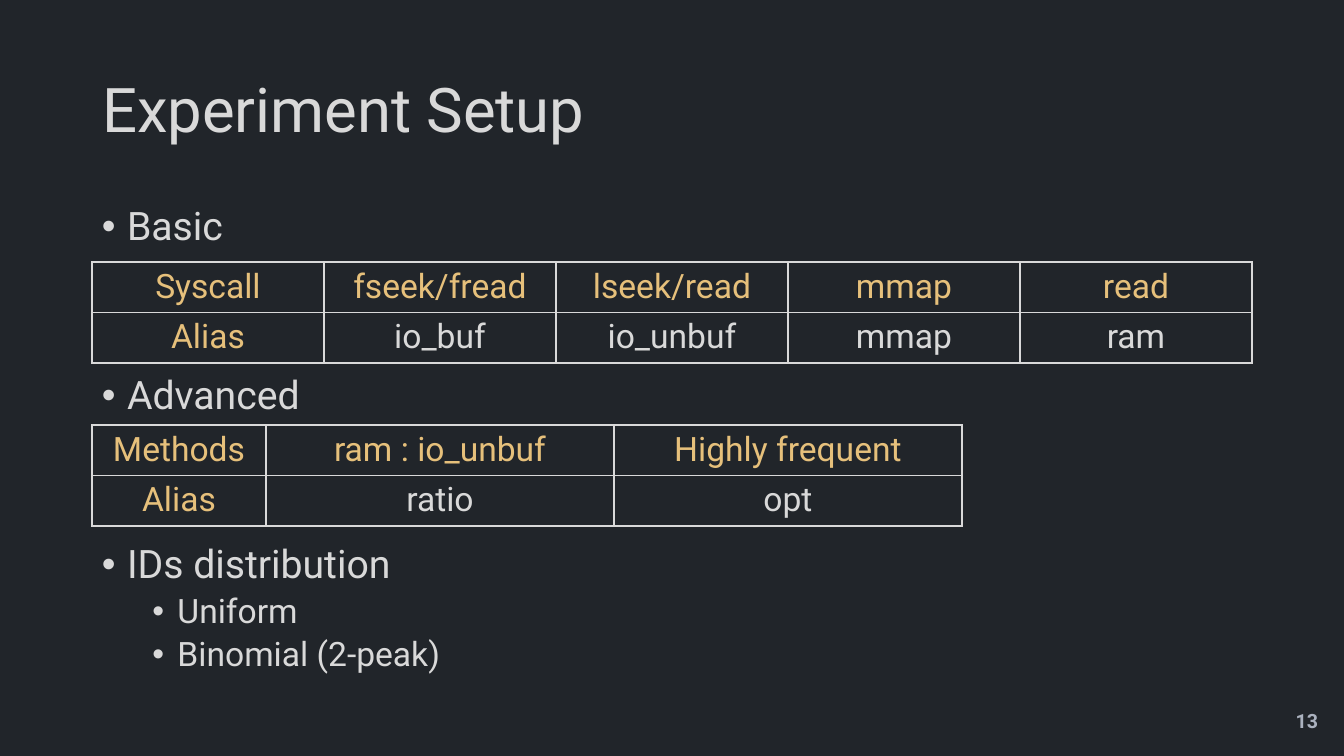
import lxml.etree
import pptx
import pptx.dml.color
import pptx.enum.text
import pptx.oxml.ns
import pptx.util

PX = 914400 / 100.8
LIGHT, GOLD, GREY, DARK = "D9D9D9", "E6C07B", "ABB2BF", "21252A"
ALIGN = pptx.enum.text.PP_ALIGN
MIDDLE = pptx.enum.text.MSO_ANCHOR.MIDDLE
rgb = pptx.dml.color.RGBColor.from_string
qn = pptx.oxml.ns.qn


def box(*lengths):
    return [round(n * PX) for n in lengths]


def write(p, text, size, color, align=ALIGN.LEFT):
    p.alignment = align
    r = p.add_run()
    r.text = text
    r.font.name = "Roboto"
    r.font.size = pptx.util.Pt(size)
    r.font.color.rgb = rgb(color)
    return r


prs = pptx.Presentation()
prs.slide_width, prs.slide_height = box(1344, 756)
s = prs.slides.add_slide(prs.slide_layouts[5])
s.background.fill.solid()
s.background.fill.fore_color.rgb = rgb(DARK)

title = s.shapes.title
title.left, title.top, title.width, title.height = box(92, 40, 1160, 146)
tf = title.text_frame
tf.auto_size = pptx.enum.text.MSO_AUTO_SIZE.NONE
tf.vertical_anchor = MIDDLE
p = tf.paragraphs[0]
p.line_spacing = 0.9
write(p, "Experiment Setup", 44, LIGHT)

bullets = [
    ("Basic", 0, 10),
    ("Advanced", 0, 90.5),
    ("IDs distribution", 0, 90.5),
    ("Uniform", 1, 5),
    ("Binomial (2-peak)", 1, 5),
]
tf = s.shapes.add_textbox(*box(92, 202, 1160, 480)).text_frame
tf.word_wrap = True
for i, (text, level, space) in enumerate(bullets):
    p = tf.add_paragraph() if i else tf.paragraphs[0]
    p.level = level
    p.line_spacing = 0.9
    p.space_before = pptx.util.Pt(space)
    write(p, text, 28 - 4 * level, LIGHT)
    pPr = p._p.get_or_add_pPr()
    pPr.set("marL", str(228600 + 457200 * level))
    pPr.set("indent", "-228600")
    lxml.etree.SubElement(pPr, qn("a:buFont")).set("typeface", "Arial")
    lxml.etree.SubElement(pPr, qn("a:buChar")).set("char", "•")

tables = [
    (262, [232] * 5, [
        ["Syscall", "fseek/fread", "lseek/read", "mmap", "read"],
        ["Alias", "io_buf", "io_unbuf", "mmap", "ram"],
    ]),
    (425, [174, 348, 348], [
        ["Methods", "ram : io_unbuf", "Highly frequent"],
        ["Alias", "ratio", "opt"],
    ]),
]
for top, widths, rows in tables:
    table = s.shapes.add_table(len(rows), len(widths), *box(92, top, sum(widths), 98)).table
    table.first_row = table.horz_banding = False
    for column, width in zip(table.columns, widths):
        column.width = round(width * PX)
    for i, row in enumerate(rows):
        for j, text in enumerate(row):
            cell = table.cell(i, j)
            color = GOLD if i == 0 or j == 0 else LIGHT
            write(cell.text_frame.paragraphs[0], text, 24, color, ALIGN.CENTER)
            tcPr = cell._tc.get_or_add_tcPr()
            for side in "LRTB":
                ln = lxml.etree.SubElement(tcPr, qn("a:ln" + side), w="19050")
                fill = lxml.etree.SubElement(ln, qn("a:solidFill"))
                lxml.etree.SubElement(fill, qn("a:srgbClr"), val=LIGHT)
            cell.fill.background()

tf = s.shapes.add_textbox(*box(950, 701, 378, 40)).text_frame
tf.word_wrap = True
tf.vertical_anchor = MIDDLE
write(tf.paragraphs[0], "13", 14, GREY, ALIGN.RIGHT).font.bold = True

prs.save("out.pptx")
